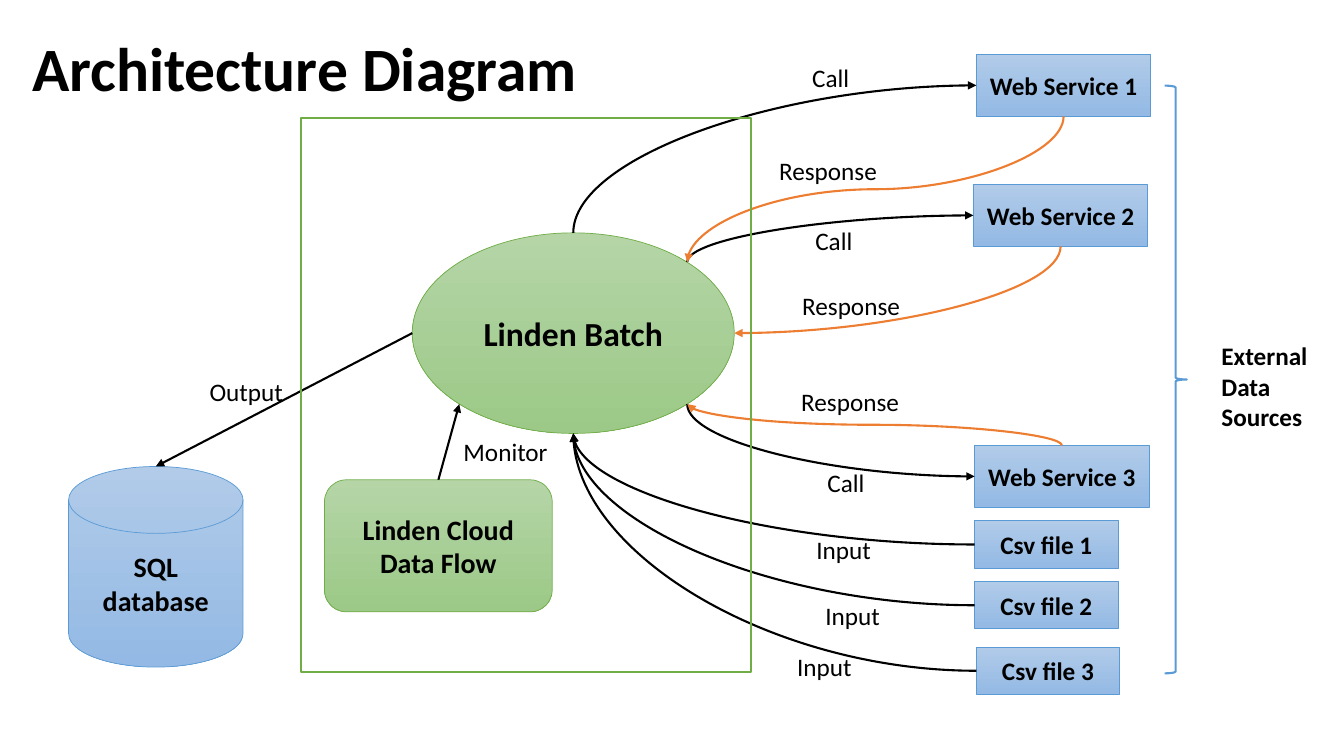
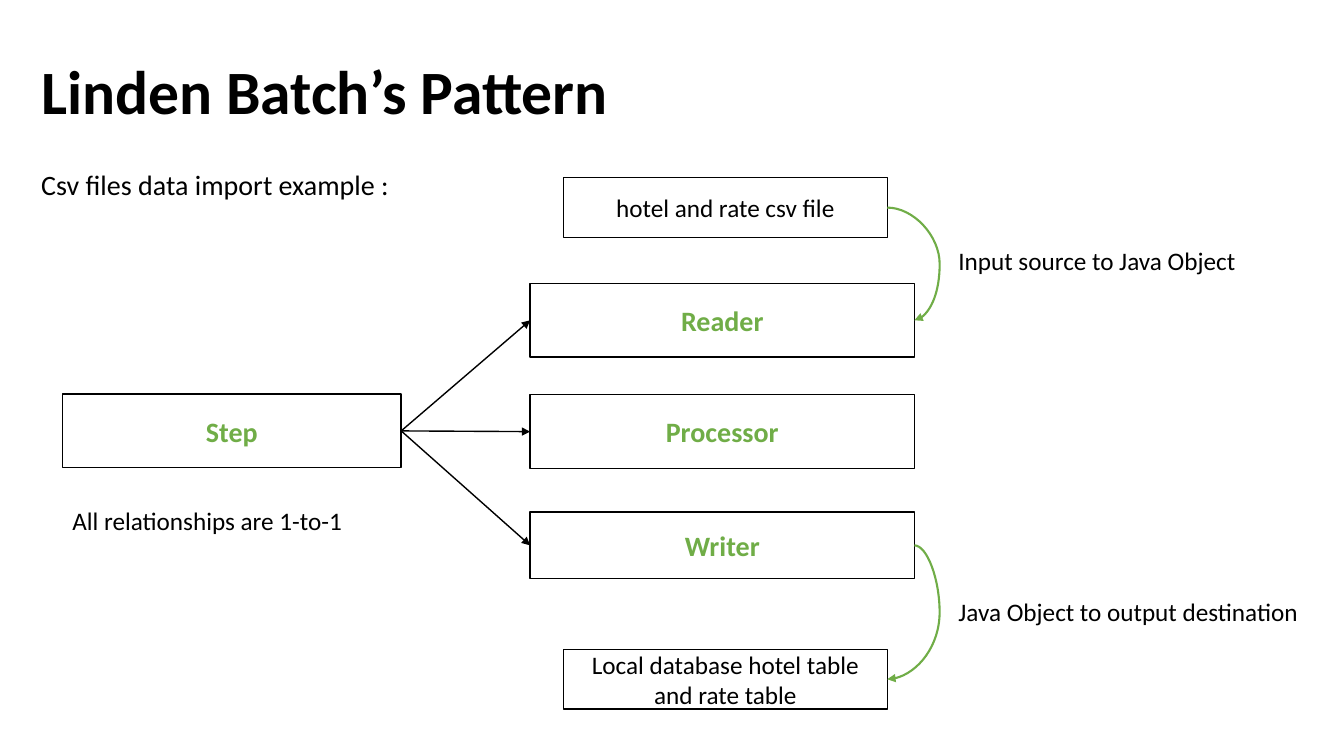
from lxml.etree import SubElement
from pptx import Presentation
from pptx.dml.color import RGBColor
from pptx.enum.shapes import MSO_CONNECTOR, MSO_SHAPE
from pptx.enum.text import MSO_ANCHOR, MSO_AUTO_SIZE, PP_ALIGN
from pptx.oxml.ns import qn
from pptx.util import Pt

COLORS = {"black": "000000", "white": "FFFFFF", "green": "70AD47", "blue": "5B9BD5", "orange": "ED7D31"}
GRADIENTS = {"green": ("B5D5A7", "9CC987"), "blue": ("B1CBE9", "93B9E4")}
FONT = "Calibri"
TITLE_SIZE = (828, 104.4)
LABEL_HEIGHT = 28.8

SIDES = {"top": (0, 0.5, 0), "left": (1, 0, 0.5), "bottom": (2, 0.5, 1), "right": (3, 1, 0.5)}
DISK_SIDES = {"top": (1, 0.5, 0)}
OVAL_SIDES = {
    "top": (0, 0.5, 0), "left": (2, 0, 0.5), "bottom left": (3, 0.146, 0.854),
    "bottom": (4, 0.5, 1), "bottom right": (5, 0.854, 0.854),
    "right": (6, 1, 0.5), "top right": (7, 0.854, 0.146),
}
SIDES_BY_PRESET = {MSO_SHAPE.OVAL: OVAL_SIDES, MSO_SHAPE.FLOWCHART_MAGNETIC_DISK: DISK_SIDES}

ARCHITECTURE = {
    "title": ("Architecture Diagram", 16, -1.4),
    "nodes": [
        ("Linden Batch", MSO_SHAPE.OVAL, (294.5, 166.3, 230, 143.3), "green", 24),
        ("Linden Cloud Data Flow", MSO_SHAPE.ROUNDED_RECTANGLE, (231.8, 342.7, 162.7, 94.3), "green", 20),
        ("SQL database", MSO_SHAPE.FLOWCHART_MAGNETIC_DISK, (49, 333.2, 124.6, 143.3), "blue", 20),
    ],
    "services": [("Web Service 1", 697.4, 38.9), ("Web Service 2", 695.3, 131.8), ("Web Service 3", 696.2, 318.2)],
    "files": [("Csv file 1", 696.2, 372), ("Csv file 2", 696.2, 415.4), ("Csv file 3", 697.4, 462.2)],
    "arrows": [
        ("Linden Cloud Data Flow", "top", "Linden Batch", "bottom left", "black", "straight"),
        ("Linden Batch", "top", "Web Service 1", "left", "black", "bend"),
        ("Linden Batch", "top right", "Web Service 2", "left", "black", "bend"),
        ("Linden Batch", "bottom right", "Web Service 3", "left", "black", "bend"),
        ("Web Service 1", "bottom", "Linden Batch", "top right", "orange", "wave"),
        ("Web Service 2", "bottom", "Linden Batch", "right", "orange", "bend"),
        ("Web Service 3", "top", "Linden Batch", "bottom right", "orange", "wave"),
        ("Csv file 1", "left", "Linden Batch", "bottom", "black", "bend"),
        ("Csv file 2", "left", "Linden Batch", "bottom", "black", "bend"),
        ("Csv file 3", "left", "Linden Batch", "bottom", "black", "bend"),
        ("Linden Batch", "left", "SQL database", "top", "black", "straight"),
    ],
    "labels": [
        ("Monitor", 324, 308.2, 75), ("Output", 142.6, 265, 67.7),
        ("Call", 573.1, 41, 41), ("Call", 575.3, 157.7, 41), ("Call", 583.9, 330.5, 41),
        ("Response", 549.4, 107.3, 85), ("Response", 565.9, 203.6, 85), ("Response", 565.2, 272.2, 85),
        ("Input", 576, 378, 54), ("Input", 582.5, 425.5, 54), ("Input", 562.3, 461.5, 54),
    ],
    "frame": (214.9, 84.2, 321.8, 396),
    "brace": (831.9, 61.2, 15.8, 419.8),
    "sources": ("External Data Sources", (865.4, 239.8, 80, 72.7)),
}

PATTERN = {
    "title": ("Linden Batch\u2019s Pattern", 22.3, 15.1),
    "steps": [
        ("Reader", (378.7, 202.5, 274.5, 52.6)),
        ("Processor", (378.7, 282, 274.5, 52.6)),
        ("Writer", (378.7, 365.8, 274.5, 47.5)),
        ("Step", (44.6, 281.5, 242, 52.6)),
    ],
    "ends": [
        ("hotel and rate csv file", (402.5, 126.7, 231.3, 43.2)),
        ("Local database hotel table and rate table", (402.5, 463.9, 231.3, 42.5)),
    ],
    "flows": [
        ("hotel and rate csv file", "Reader", 1.93),
        ("Writer", "Local database hotel table and rate table", -0.93),
    ],
    "example": ("Csv files data import example :", (22.3, 116.3, 265.7, 31.7)),
    "labels": [
        ("Input source to Java Object", 677.5, 171.4, 214.6),
        ("Java Object to output destination", 677.5, 422.6, 260),
        ("All relationships are 1-to-1", 44.6, 357.1, 209.5),
    ],
}


def rgb(value):
    return RGBColor.from_string(value)


def write(shape, text, size=18, color="black", bold=False, align=PP_ALIGN.LEFT,
          anchor=MSO_ANCHOR.TOP, wrap=True, spacing=None, grow=False):
    frame = shape.text_frame
    frame.word_wrap = wrap
    frame.vertical_anchor = anchor
    frame.auto_size = MSO_AUTO_SIZE.SHAPE_TO_FIT_TEXT if grow else MSO_AUTO_SIZE.NONE
    paragraph = frame.paragraphs[0]
    paragraph.alignment = align
    paragraph.line_spacing = spacing
    run = paragraph.add_run()
    run.text = text
    run.font.name = FONT
    run.font.size = Pt(size)
    run.font.bold = bold
    run.font.color.rgb = rgb(COLORS[color])


def add_text(slide, text, box, **style):
    write(slide.shapes.add_textbox(*map(Pt, box)), text, **style)


def add_labels(slide, labels):
    for text, x, y, width in labels:
        add_text(slide, text, (x, y, width, LABEL_HEIGHT), wrap=False, grow=True)


def add_outline(slide, preset, box, color, weight):
    shape = slide.shapes.add_shape(preset, *map(Pt, box))
    shape.shadow.inherit = False
    shape.fill.background()
    shape.line.color.rgb = rgb(COLORS[color])
    shape.line.width = Pt(weight)
    return shape


def add_node(slide, text, preset, box, tone, size):
    shape = add_outline(slide, preset, box, tone, 0.5)
    shape.fill.gradient()
    shape.fill.gradient_angle = 270
    for stop, value in zip(shape.fill.gradient_stops, GRADIENTS[tone]):
        stop.color.rgb = rgb(value)
    write(shape, text, size=size, bold=True, align=PP_ALIGN.CENTER, anchor=MSO_ANCHOR.MIDDLE)
    return shape


def add_box(slide, text, box, **style):
    shape = add_outline(slide, MSO_SHAPE.RECTANGLE, box, "black", 1)
    shape.fill.solid()
    shape.fill.fore_color.rgb = rgb(COLORS["white"])
    write(shape, text, align=PP_ALIGN.CENTER, anchor=MSO_ANCHOR.MIDDLE, **style)
    return shape


def port(shape, side):
    index, across, down = SIDES_BY_PRESET.get(shape.auto_shape_type, SIDES)[side]
    return index, int(shape.left + shape.width * across), int(shape.top + shape.height * down)


def bend_line(line, start, end, upright, preset, bulge):
    (x1, y1), (x2, y2) = start, end
    width, height = abs(x2 - x1), abs(y2 - y1)
    turn, flip_h, flip_v = 0, x2 < x1, y2 < y1
    if upright:
        width, height = height, width
        turn, flip_h, flip_v = 90, y2 < y1, x2 > x1
        if flip_h != flip_v:
            turn, flip_h, flip_v = 270, flip_v, flip_h
    elif flip_h and flip_v:
        turn, flip_h, flip_v = 180, False, False
    line.left, line.top = (x1 + x2 - width) // 2, (y1 + y2 - height) // 2
    line.width, line.height = width, height
    properties = line._element.spPr
    transform = properties.find(qn("a:xfrm"))
    for name, value in (("rot", turn * 60000), ("flipH", int(flip_h)), ("flipV", int(flip_v))):
        transform.set(name, str(value))
    geometry = properties.find(qn("a:prstGeom"))
    geometry.set("prst", preset)
    if bulge is not None:
        SubElement(geometry.find(qn("a:avLst")), qn("a:gd"), name="adj1", fmla=f"val {round(bulge * 100000)}")


def add_arrow(slide, source, source_side, target, target_side, color, route, weight=1.5, bulge=None):
    source_port, *start = port(source, source_side)
    target_port, *end = port(target, target_side)
    straight = route == "straight"
    kind = MSO_CONNECTOR.STRAIGHT if straight else MSO_CONNECTOR.CURVE
    line = slide.shapes.add_connector(kind, *start, *end)
    if not straight:
        upright = "top" in source_side or "bottom" in source_side
        preset = "curvedConnector2" if route == "bend" else "curvedConnector3"
        bend_line(line, start, end, upright, preset, bulge)
    links = line._element.nvCxnSpPr.cNvCxnSpPr
    for tag, shape, index in (("a:stCxn", source, source_port), ("a:endCxn", target, target_port)):
        SubElement(links, qn(tag), id=str(shape.shape_id), idx=str(index))
    line.line.color.rgb = rgb(COLORS[color])
    line.line.width = Pt(weight)
    properties = line._element.spPr
    SubElement(properties.find(qn("a:ln")), qn("a:tailEnd"), type="triangle")
    SubElement(properties, qn("a:effectLst"))


def add_titled_slide(deck, title, x, y):
    slide = deck.slides.add_slide(deck.slide_layouts[6])
    add_text(slide, title, (x, y, *TITLE_SIZE), size=44, bold=True, anchor=MSO_ANCHOR.MIDDLE, spacing=0.9)
    return slide


def build_architecture(deck):
    slide = add_titled_slide(deck, *ARCHITECTURE["title"])
    nodes = list(ARCHITECTURE["nodes"])
    for group, size in (("services", (124.6, 44.2)), ("files", (102.4, 33.8))):
        nodes += [(text, MSO_SHAPE.RECTANGLE, (x, y, *size), "blue", 18) for text, x, y in ARCHITECTURE[group]]
    placed = {node[0]: add_node(slide, *node) for node in nodes}
    for source, source_side, target, target_side, color, route in ARCHITECTURE["arrows"]:
        add_arrow(slide, placed[source], source_side, placed[target], target_side, color, route)
    add_labels(slide, ARCHITECTURE["labels"])
    add_outline(slide, MSO_SHAPE.RECTANGLE, ARCHITECTURE["frame"], "green", 1.5)
    add_outline(slide, MSO_SHAPE.RIGHT_BRACE, ARCHITECTURE["brace"], "blue", 1.5)
    add_text(slide, *ARCHITECTURE["sources"], bold=True, grow=True)


def build_pattern(deck):
    slide = add_titled_slide(deck, *PATTERN["title"])
    placed = {text: add_box(slide, text, box, size=20, color="green", bold=True) for text, box in PATTERN["steps"]}
    placed.update({text: add_box(slide, text, box) for text, box in PATTERN["ends"]})
    for target in ("Reader", "Processor", "Writer"):
        add_arrow(slide, placed["Step"], "right", placed[target], "left", "black", "straight", weight=1)
    for source, target, bulge in PATTERN["flows"]:
        add_arrow(slide, placed[source], "right", placed[target], "right", "green", "wave", bulge=bulge)
    add_text(slide, *PATTERN["example"], size=20, wrap=False, grow=True)
    add_labels(slide, PATTERN["labels"])


deck = Presentation()
deck.slide_width, deck.slide_height = Pt(960), Pt(540)
build_architecture(deck)
build_pattern(deck)
deck.save("out.pptx")
